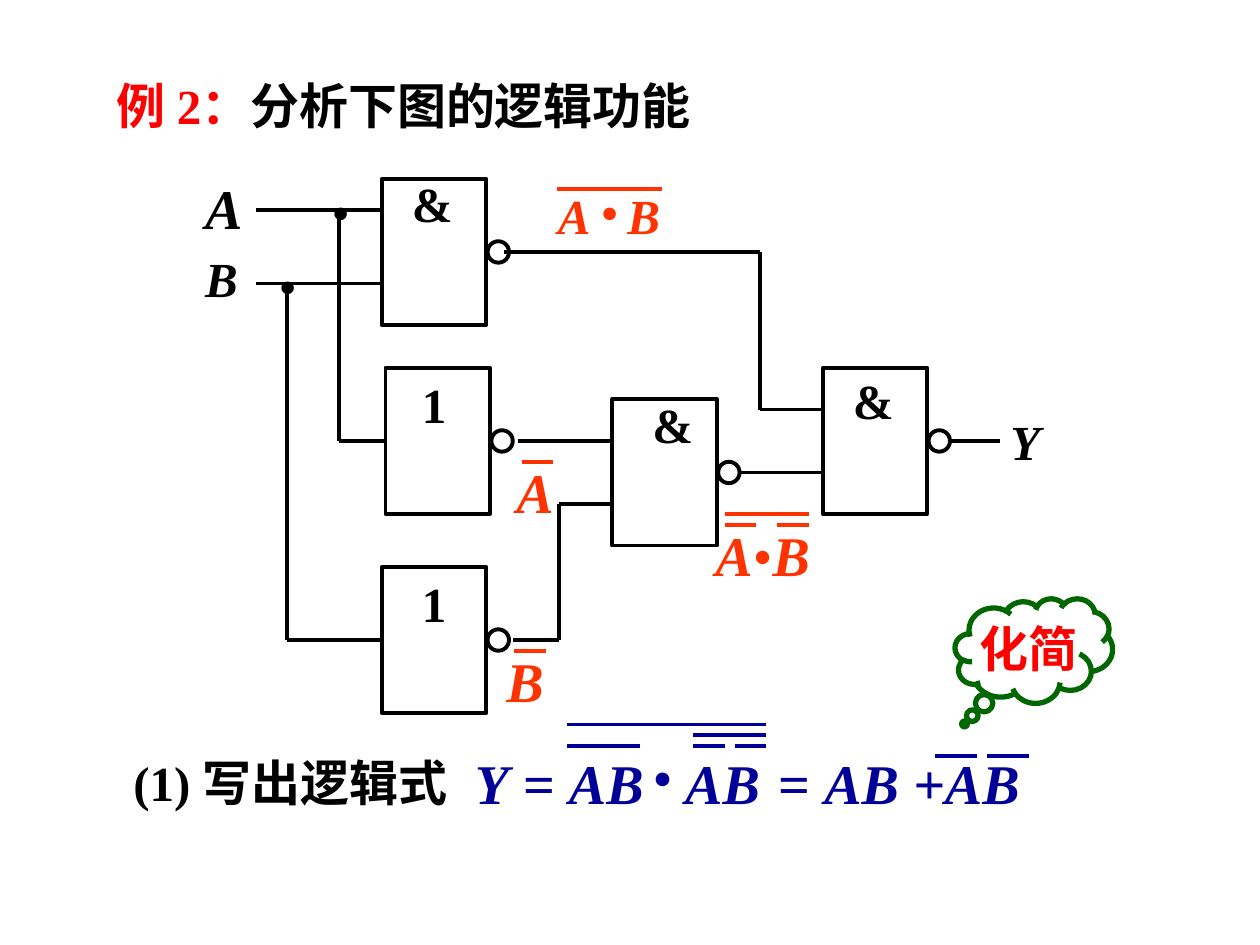
"""Build a slide that analyses a logic circuit made of NAND gates and inverters."""
from itertools import pairwise

from lxml import etree
from pptx import Presentation
from pptx.dml.color import RGBColor
from pptx.enum.shapes import MSO_CONNECTOR, MSO_SHAPE
from pptx.enum.text import MSO_ANCHOR, PP_ALIGN
from pptx.oxml.ns import qn
from pptx.util import Inches, Pt

COLORS = {
    "ink": "000000",
    "red": "FF0000",
    "signal": "FF3300",
    "formula": "000099",
    "cloud": "006600",
}
FONT = "Times New Roman"
GATE_WIDTH, GATE_HEIGHT = 0.83, 1.16
BUBBLE = 0.17


def color(name):
    """Return the named palette colour."""
    return RGBColor.from_string(COLORS[name])


def add_run(paragraph, text, size=28, ink="ink", bold=True, italic=False):
    """Append one formatted run to a paragraph."""
    run = paragraph.add_run()
    run.text = text
    font = run.font
    font.name, font.size, font.bold, font.italic = FONT, Pt(size), bold, italic
    font.color.rgb = color(ink)


def add_text(slide, text, left, top, width, height, tab=None, **style):
    """Add a text box from a string or from (string, style changes) pairs."""
    box = slide.shapes.add_textbox(*map(Inches, (left, top, width, height)))
    box.text_frame.word_wrap = True
    paragraph = box.text_frame.paragraphs[0]
    if tab:
        stops = etree.SubElement(paragraph._p.get_or_add_pPr(), qn("a:tabLst"))
        etree.SubElement(stops, qn("a:tab"), pos=str(Inches(tab)), algn="l")
    for part, changes in [(text, {})] if isinstance(text, str) else text:
        add_run(paragraph, part, **{**style, **changes})


def add_line(slide, start, end, ink="ink"):
    """Add a straight line between two points."""
    line = slide.shapes.add_connector(
        MSO_CONNECTOR.STRAIGHT, *map(Inches, (*start, *end)))
    line.line.color.rgb = color(ink)
    line.line.width = Pt(2.25)
    etree.SubElement(line._element.spPr, qn("a:effectLst"))
    return line


def add_wire(slide, *points):
    """Add a wire through all points and return its last segment."""
    return [add_line(slide, start, end) for start, end in pairwise(points)][-1]


def add_overlines(slide, ink, *spans):
    """Add negation bars given as (left, right, height on the slide)."""
    for left, right, y in spans:
        add_line(slide, (left, y), (right, y), ink)


def add_outline(slide, kind, left, top, width, height, ink="ink", weight=2.25):
    """Add an unfilled preset shape."""
    shape = slide.shapes.add_shape(kind, *map(Inches, (left, top, width, height)))
    shape.shadow.inherit = False
    shape.fill.background()
    shape.line.color.rgb = color(ink)
    shape.line.width = Pt(weight)
    return shape


def add_gate(slide, left, top, symbol, symbol_left, symbol_top):
    """Add a gate with its symbol and the inverting bubble at its output."""
    gate = add_outline(slide, MSO_SHAPE.RECTANGLE, left, top, GATE_WIDTH, GATE_HEIGHT)
    add_outline(slide, MSO_SHAPE.OVAL, left + GATE_WIDTH + 0.01,
                top + (GATE_HEIGHT - BUBBLE) / 2, BUBBLE, BUBBLE)
    add_text(slide, symbol, symbol_left, symbol_top, 0.52, 0.57)
    return gate


def add_circuit(slide):
    """Draw gates, wires, junctions and terminal names."""
    add_gate(slide, 3.03, 1.42, "&", 3.17, 1.33)
    not_a = add_gate(slide, 3.06, 2.92, "1", 3.25, 2.92)
    not_b = add_gate(slide, 3.03, 4.5, "1", 3.25, 4.5)
    add_gate(slide, 4.86, 3.17, "&", 5.08, 3.08)
    add_gate(slide, 6.53, 2.92, "&", 6.67, 2.89)

    add_wire(slide, (2.03, 1.67), (3.03, 1.67))
    add_wire(slide, (2.03, 2.25), (3.03, 2.25))
    add_wire(slide, (2.69, 1.67), (2.69, 3.5), (3.06, 3.5)).end_connect(not_a, 1)
    add_wire(slide, (2.28, 2.25), (2.28, 5.08), (3.03, 5.08)).end_connect(not_b, 1)
    add_wire(slide, (4, 2), (6.03, 2), (6.03, 3.25), (6.53, 3.25))
    add_wire(slide, (4.11, 3.5), (4.86, 3.5))
    add_wire(slide, (4.07, 5.08), (4.44, 5.08), (4.44, 4), (4.86, 4))
    add_wire(slide, (5.86, 3.75), (6.53, 3.75))
    add_wire(slide, (7.53, 3.5), (7.94, 3.5))

    for left, top in ((2.53, 1.08), (2.11, 1.67)):
        add_text(slide, ".", left, top, 0.42, 0.83, size=44)
    add_text(slide, "A", 1.53, 1.33, 0.5, 0.63, size=32, italic=True)
    add_text(slide, "B", 1.53, 1.92, 0.58, 0.57, italic=True)
    add_text(slide, "Y", 7.92, 3.22, 0.44, 0.57, italic=True)


def add_signals(slide):
    """Label the intermediate signals."""
    letters = {"ink": "signal", "italic": True}
    add_text(slide, "A\tB", 4.33, 1.42, 1.25, 0.57, tab=0.55, **letters)
    add_text(slide, ".", 4.67, 1.08, 0.33, 0.83, size=44, ink="signal")
    add_text(slide, "A", 4, 3.58, 0.42, 0.63, size=32, **letters)
    add_text(slide, "B", 3.92, 5.08, 0.42, 0.63, size=32, **letters)
    product = [("A", {}), ("•", {"bold": False, "italic": False}), ("B", {})]
    add_text(slide, product, 5.58, 4.08, 1.25, 0.63, size=32, **letters)
    add_overlines(slide, "signal", (4.42, 5.25, 1.5), (4.14, 4.39, 3.67),
                  (4.08, 4.33, 5.17), (5.75, 6.42, 4.08),
                  (5.75, 6, 4.17), (6.17, 6.42, 4.17))


def add_formula(slide):
    """Write the output expression with its negation bars."""
    letters = {"size": 32, "ink": "formula", "italic": True}
    upright = {"italic": False}
    add_text(slide, [("Y", {}), (" = ", upright), ("AB\tAB", {})],
             3.67, 5.89, 2.6, 0.63, tab=1.67, **letters)
    add_text(slide, ".", 5.08, 5.52, 0.33, 0.9, size=48, ink="formula")
    add_text(slide, [("= ", upright), ("AB +AB", {})],
             6.08, 5.89, 2.3, 0.63, **letters)
    add_overlines(slide, "formula", (4.5, 6.08, 5.75), (5.5, 6.08, 5.83),
                  (4.5, 5.08, 5.92), (5.5, 5.75, 5.92), (5.83, 6.08, 5.92),
                  (7.42, 7.75, 6), (7.83, 8.17, 6))


def add_hint(slide):
    """Add the thought cloud that asks for simplification."""
    cloud = add_outline(slide, MSO_SHAPE.CLOUD_CALLOUT, 7.58, 4.75, 1.25, 0.83,
                        ink="cloud", weight=3)
    cloud.adjustments[0], cloud.adjustments[1] = -0.44, 0.7
    frame = cloud.text_frame
    frame.word_wrap = False
    frame.vertical_anchor = MSO_ANCHOR.MIDDLE
    frame.paragraphs[0].alignment = PP_ALIGN.CENTER
    add_run(frame.paragraphs[0], "化简", ink="red")


def main():
    """Build and save the slide."""
    deck = Presentation()
    deck.slide_width, deck.slide_height = Inches(10), Inches(7.5)
    slide = deck.slides.add_slide(deck.slide_layouts[6])
    add_text(slide, [("例 2：", {"ink": "red"}), ("分析下图的逻辑功能", {})],
             0.83, 0.55, 4.81, 0.57)
    add_text(slide, "(1) 写出逻辑式", 0.96, 5.92, 2.71, 0.57)
    add_circuit(slide)
    add_signals(slide)
    add_formula(slide)
    add_hint(slide)
    deck.save("out.pptx")


if __name__ == "__main__":
    main()
